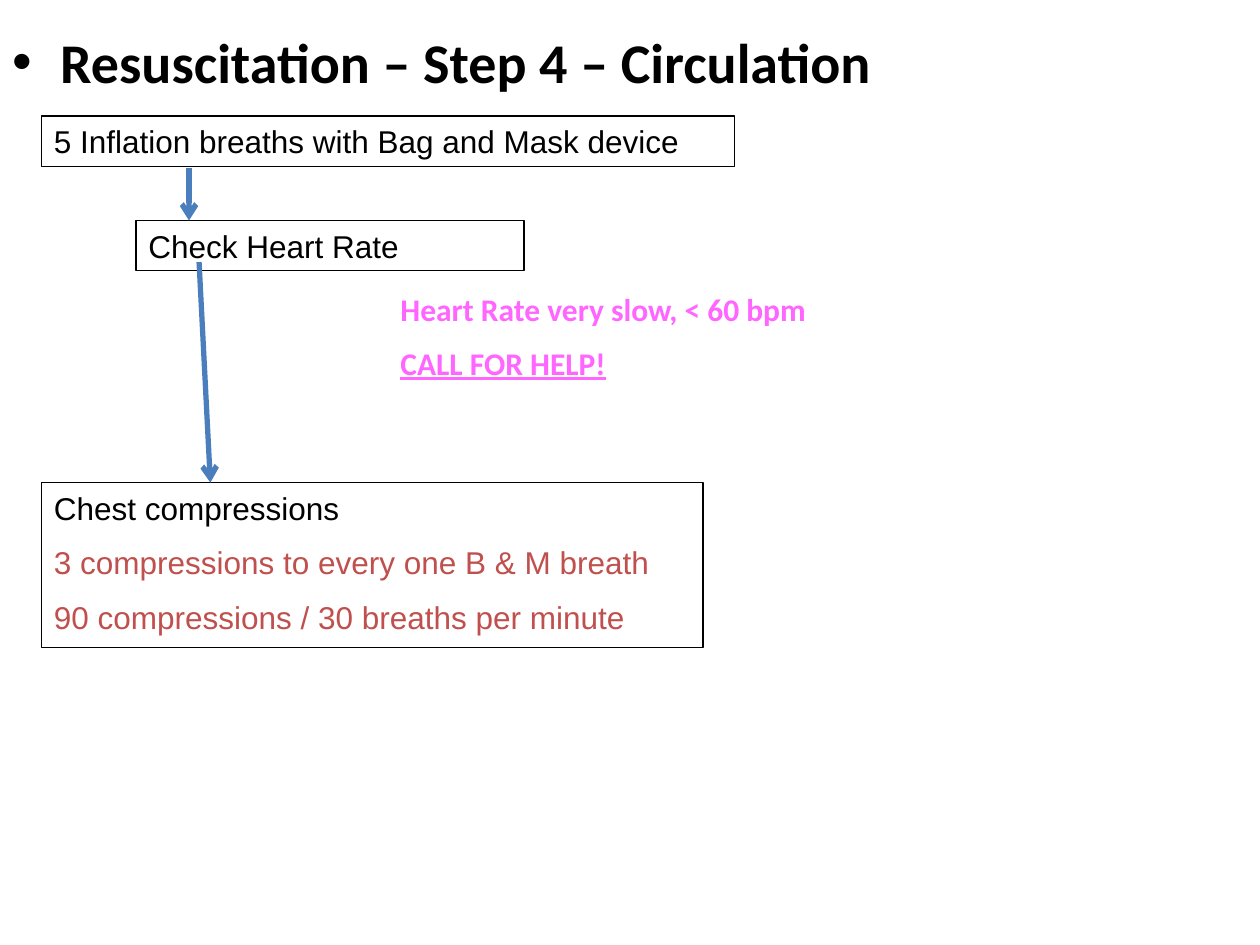
"""Build the newborn resuscitation slide on circulation, step 4."""
from lxml import etree
from pptx import Presentation, util as u
from pptx.dml import color
from pptx.enum import shapes, text
from pptx.oxml import ns

THEME = {
    "black": color.RGBColor.from_string("000000"),
    "pink": color.RGBColor.from_string("FF66FF"),
    "red": color.RGBColor.from_string("C0504D"),
    "blue": color.RGBColor.from_string("4B7EBC"),
    "head": u.Pt(32),
    "body": u.Pt(18),
    "gap": u.Pt(9.5),
    "edge": u.Pt(0.75),
    "arrow": u.Pt(3),
}
HEAD = {"name": "Calibri", "size": THEME["head"], "bold": True}
CALL = {"name": "Calibri", "size": THEME["body"], "bold": True}
STEP = {"name": "Arial", "size": THEME["body"], "bold": False}


def add(parent, tag, **attrs):
    return etree.SubElement(parent, ns.qn(tag), attrs)


def fill(shape, lines, style, bullet=False):
    frame = shape.text_frame
    frame.word_wrap = True
    frame.vertical_anchor = text.MSO_ANCHOR.TOP
    for i, (words, hue, extra) in enumerate(lines):
        para = frame.add_paragraph() if i else frame.paragraphs[0]
        para.alignment = text.PP_ALIGN.LEFT
        if i:
            para.space_before = THEME["gap"]
        if bullet:
            props = para._p.get_or_add_pPr()
            props.set("marL", str(u.Inches(0.38)))
            props.set("indent", str(u.Inches(-0.38)))
            add(props, "a:buFont", typeface="Arial")
            add(props, "a:buChar", char="•")
        run = para.add_run()
        run.text = words
        for key, value in {**style, **extra}.items():
            setattr(run.font, key, value)
        run.font.color.rgb = THEME[hue]


deck = Presentation()
deck.slide_width, deck.slide_height = u.Inches(10), u.Inches(7.5)
slide = deck.slides.add_slide(deck.slide_layouts[6])

title = slide.shapes.add_textbox(*map(u.Inches, (0, 0.17, 10, 6.53)))
fill(title, [("Resuscitation – Step 4 – Circulation", "black", {})], HEAD, bullet=True)

steps = [
    ((0.33, 0.92, 5.5, 0.4), [("5 Inflation breaths with Bag and Mask device", "black", {})]),
    ((1.08, 1.75, 3.08, 0.4), [("Check Heart Rate", "black", {})]),
    ((0.33, 3.83, 5.25, 1.31), [
        ("Chest compressions", "black", {}),
        ("3 compressions to every one B & M breath", "red", {}),
        ("90 compressions / 30 breaths per minute", "red", {}),
    ]),
]
for place, lines in steps:
    box = slide.shapes.add_shape(shapes.MSO_SHAPE.RECTANGLE, *map(u.Inches, place))
    box.shadow.inherit = False
    box.fill.background()
    box.line.color.rgb = THEME["black"]
    box.line.width = THEME["edge"]
    fill(box, lines, STEP)

alert = slide.shapes.add_textbox(*map(u.Inches, (3.08, 2.25, 5, 0.86)))
fill(alert, [
    ("Heart Rate very slow, < 60 bpm", "pink", {}),
    ("CALL FOR HELP!", "pink", {"underline": True}),
], CALL)

for ends in [(1.5, 1.33, 1.5, 1.75), (1.58, 2.08, 1.67, 3.83)]:
    arrow = slide.shapes.add_connector(shapes.MSO_CONNECTOR.STRAIGHT, *map(u.Inches, ends))
    arrow.line.color.rgb = THEME["blue"]
    arrow.line.width = THEME["arrow"]
    add(arrow.line._get_or_add_ln(), "a:tailEnd", type="arrow")
    add(arrow._element.spPr, "a:effectLst")

deck.save("out.pptx")
